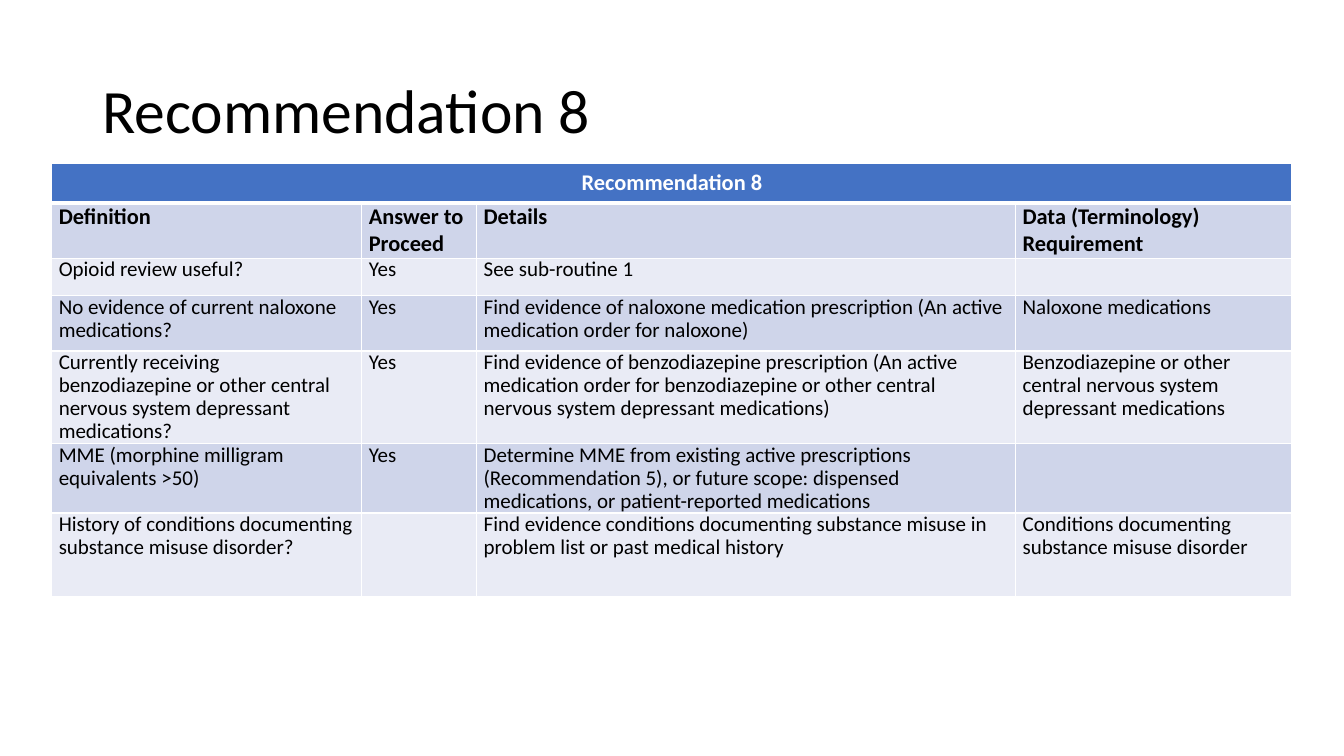
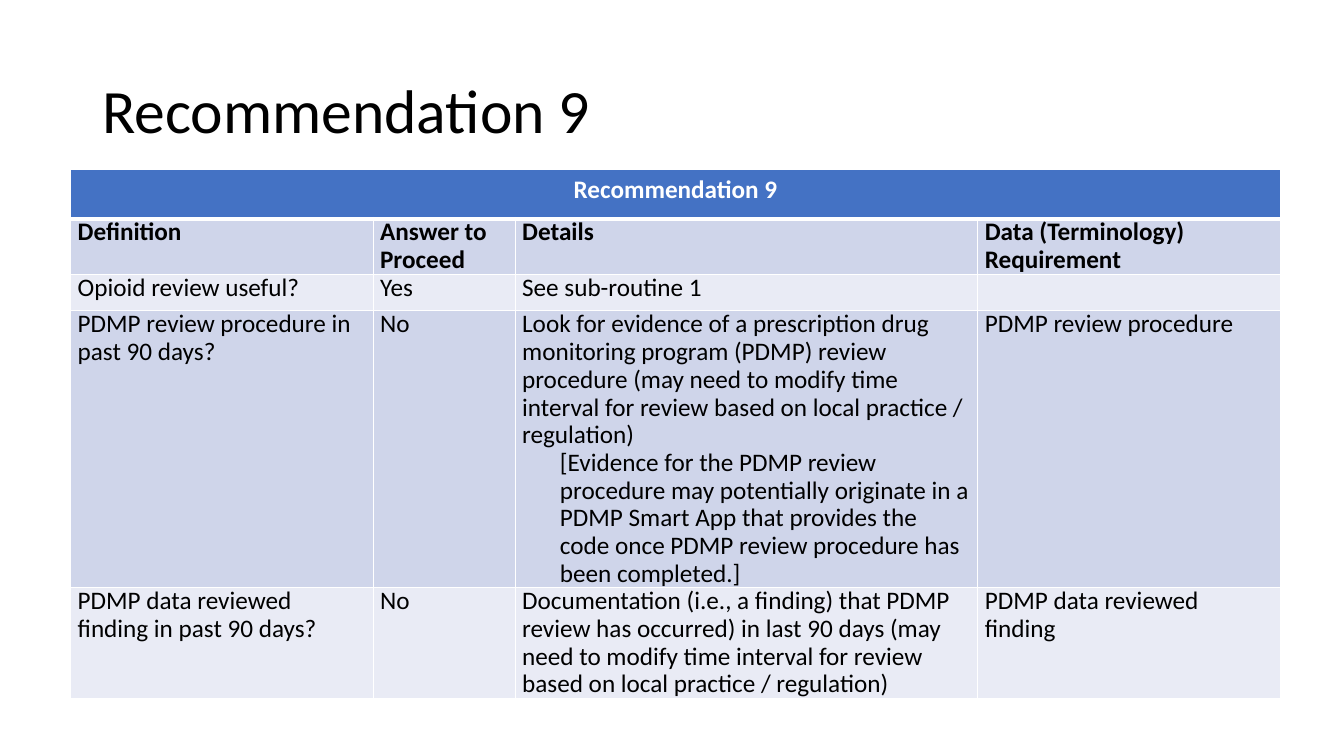
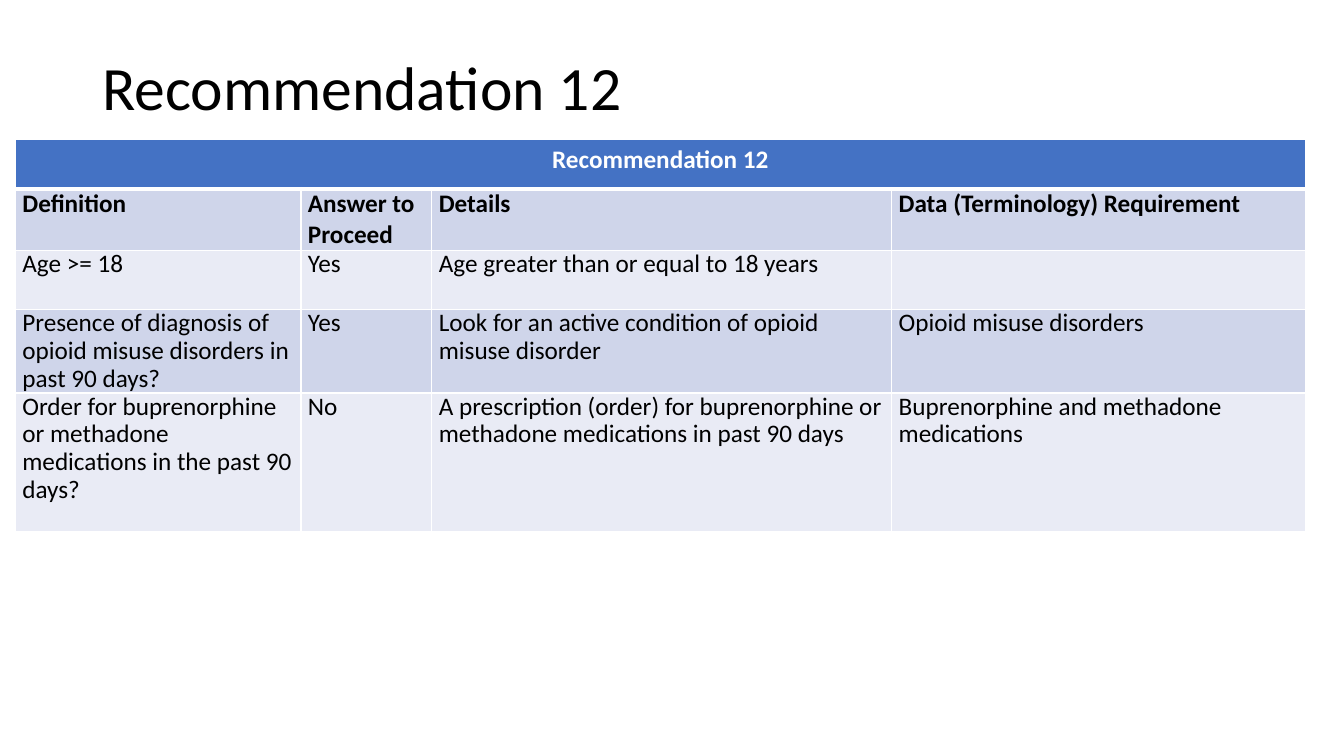
"""Build three recommendation slides, each with a title and a logic table."""
import dataclasses

import lxml.etree
import pptx
import pptx.dml.color
import pptx.enum.text
import pptx.oxml.ns
import pptx.util

Pt = pptx.util.Pt


@dataclasses.dataclass(frozen=True)
class Theme:
    font: str = "Calibri"
    text: str = "000000"
    white: str = "FFFFFF"
    banner: str = "4472C4"
    bands: tuple = ("CFD5EA", "E9EBF5")
    title_size: int = 44
    tight: float = 0.9
    thin: int = 1
    thick: int = 3
    inset: int = 5
    indent: int = 27


THEME = Theme()
HEADINGS = ("Definition", "Answer to Proceed", "Details", "Data (Terminology) Requirement")
OPIOID_REVIEW = ("Opioid review useful?", "Yes", "See sub-routine 1", "")

RECOMMENDATIONS = [
    {
        "title": "Recommendation 8",
        "title_height": 104.4,
        "table_at": (37, 117),
        "columns": (221.5, 82, 385, 197.5),
        "row_heights": (28, 39.5, 26.7, 39.6, 66.2, 49.5, 60),
        "heading_size": 16,
        "body_size": 15,
        "heading_spacing": 1.0,
        "rows": [
            OPIOID_REVIEW,
            ("No evidence of current naloxone medications?", "Yes",
             "Find evidence of naloxone medication prescription (An active medication order for naloxone)",
             "Naloxone medications"),
            ("Currently receiving benzodiazepine or other central nervous system depressant medications?", "Yes",
             "Find evidence of benzodiazepine prescription (An active medication order for benzodiazepine "
             "or other central nervous system depressant medications)",
             "Benzodiazepine or other central nervous system depressant medications"),
            ("MME (morphine milligram equivalents >50)", "Yes",
             "Determine MME from existing active prescriptions (Recommendation 5), or future scope: "
             "dispensed medications, or patient-reported medications", ""),
            ("History of conditions documenting substance misuse disorder?", "",
             "Find evidence conditions documenting substance misuse in problem list or past medical history",
             "Conditions documenting substance misuse disorder"),
        ],
    },
    {
        "title": "Recommendation 9",
        "title_height": 104.4,
        "table_at": (50.5, 121),
        "columns": (216, 101.5, 330.5, 216),
        "row_heights": (35.3, 39.5, 26.2, 197.7, 79.2),
        "heading_size": 18,
        "body_size": 18,
        "heading_spacing": THEME.tight,
        "rows": [
            OPIOID_REVIEW,
            ("PDMP review procedure in past 90 days?", "No",
             "Look for evidence of a prescription drug monitoring program (PDMP) review procedure "
             "(may need to modify time interval for review based on local practice / regulation)\n"
             "[Evidence for the PDMP review procedure may potentially originate in a PDMP Smart App "
             "that provides the code once PDMP review procedure has been completed.]",
             "PDMP review procedure"),
            ("PDMP data reviewed finding in past 90 days?", "No",
             "Documentation (i.e., a finding) that PDMP review has occurred) in last 90 days "
             "(may need to modify time interval for review based on local practice / regulation)",
             "PDMP data reviewed finding"),
        ],
    },
    {
        "title": "Recommendation 12",
        "title_height": 71.3,
        "table_at": (11, 99.5),
        "columns": (204, 93.5, 328.5, 295.5),
        "row_heights": (35.3, 44, 42.5, 59.4, 98.8),
        "heading_size": 18,
        "body_size": 18,
        "heading_spacing": 1.0,
        "rows": [
            ("Age >= 18", "Yes", "Age greater than or equal to 18 years", ""),
            ("Presence of diagnosis of opioid misuse disorders in past 90 days?", "Yes",
             "Look for an active condition of opioid misuse disorder", "Opioid misuse disorders"),
            ("Order for buprenorphine or methadone medications in the past 90 days?", "No",
             "A prescription (order) for buprenorphine or methadone medications in past 90 days",
             "Buprenorphine and methadone medications"),
        ],
    },
]


def color(value):
    return pptx.dml.color.RGBColor.from_string(value)


def write(text_frame, text, size, ink=THEME.text, bold=False, spacing=1.0):
    text_frame.text = text
    for index, paragraph in enumerate(text_frame.paragraphs):
        paragraph.line_spacing = spacing
        if index:
            paragraph._p.get_or_add_pPr().set("marL", str(Pt(THEME.indent)))
        for run in paragraph.runs:
            run.font.name = THEME.font
            run.font.size = Pt(size)
            run.font.bold = bold
            run.font.color.rgb = color(ink)


def paint_cell(cell, fill, top, bottom):
    cell.fill.solid()
    cell.fill.fore_color.rgb = color(fill)
    properties = cell._tc.get_or_add_tcPr()
    widths = {"a:lnL": THEME.thin, "a:lnR": THEME.thin, "a:lnT": top, "a:lnB": bottom}
    for position, (side, width) in enumerate(widths.items()):
        line = lxml.etree.Element(pptx.oxml.ns.qn(side), w=str(Pt(width)))
        solid = lxml.etree.SubElement(line, pptx.oxml.ns.qn("a:solidFill"))
        lxml.etree.SubElement(solid, pptx.oxml.ns.qn("a:srgbClr"), val=THEME.white)
        properties.insert(position, line)


def add_title(slide, text, height):
    title = slide.shapes.add_textbox(Pt(66), Pt(28.75), Pt(828), Pt(height))
    title.text_frame.word_wrap = True
    title.text_frame.vertical_anchor = pptx.enum.text.MSO_ANCHOR.MIDDLE
    write(title.text_frame, text, THEME.title_size, spacing=THEME.tight)


def add_logic_table(slide, content):
    columns, heights = content["columns"], content["row_heights"]
    left, top = content["table_at"]
    table = slide.shapes.add_table(len(heights), len(columns), Pt(left), Pt(top),
                                   Pt(sum(columns)), Pt(sum(heights))).table
    table.first_row = table.horz_banding = False
    for column, width in zip(table.columns, columns):
        column.width = Pt(width)
    for row, height in zip(table.rows, heights):
        row.height = Pt(height)

    for cell in table.rows[0].cells:
        paint_cell(cell, THEME.banner, THEME.thin, THEME.thick)
    banner = table.cell(0, 0)
    banner.merge(table.cell(0, len(columns) - 1))
    write(banner.text_frame, content["title"], content["heading_size"], THEME.white, True)
    banner.text_frame.paragraphs[0].alignment = pptx.enum.text.PP_ALIGN.CENTER

    for row_index, texts in enumerate([HEADINGS, *content["rows"]], start=1):
        heading = row_index == 1
        size = content["heading_size" if heading else "body_size"]
        spacing = content["heading_spacing"] if heading else THEME.tight
        fill = THEME.bands[(row_index - 1) % 2]
        for cell, text in zip(table.rows[row_index].cells, texts):
            paint_cell(cell, fill, THEME.thick if heading else THEME.thin, THEME.thin)
            cell.margin_left = cell.margin_right = Pt(THEME.inset)
            cell.margin_top = cell.margin_bottom = Pt(0)
            write(cell.text_frame, text, size, bold=heading, spacing=spacing)


def main():
    presentation = pptx.Presentation()
    presentation.slide_width, presentation.slide_height = Pt(960), Pt(540)
    for content in RECOMMENDATIONS:
        slide = presentation.slides.add_slide(presentation.slide_layouts[6])
        add_title(slide, content["title"], content["title_height"])
        add_logic_table(slide, content)
    presentation.save("out.pptx")


if __name__ == "__main__":
    main()
